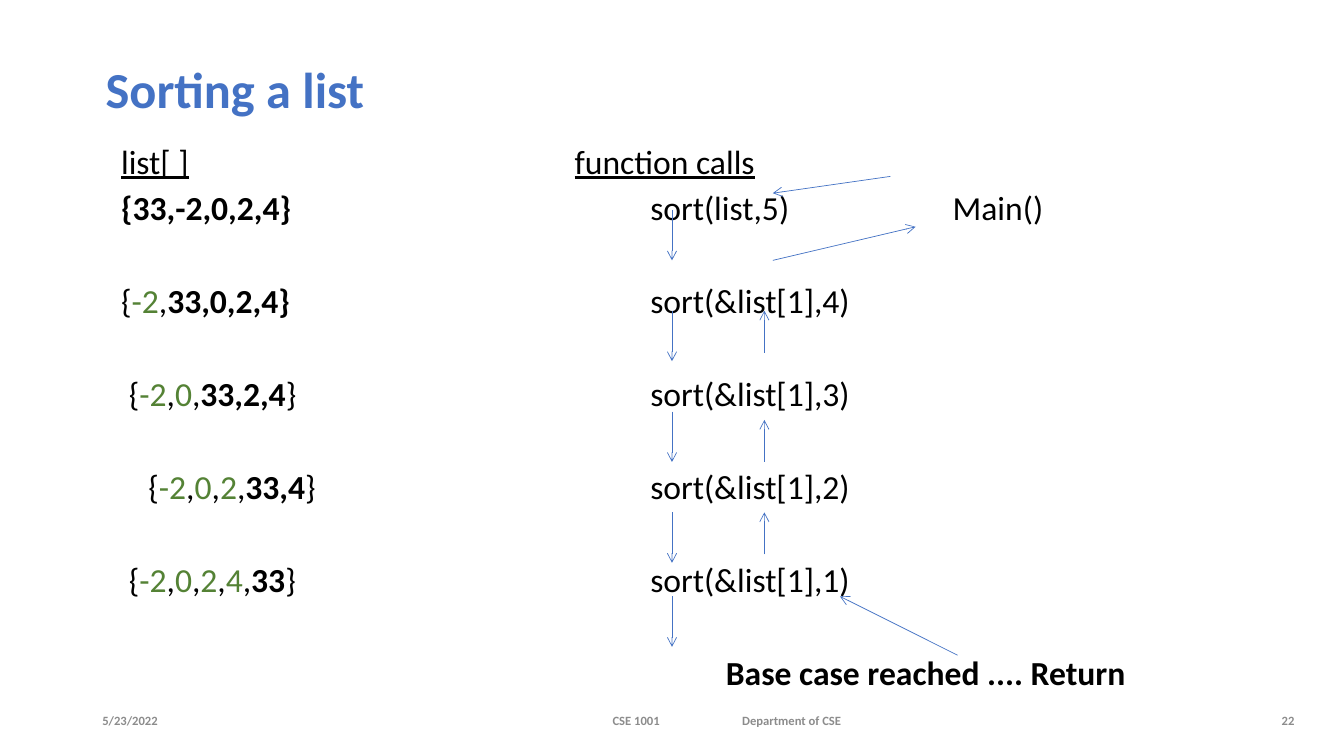
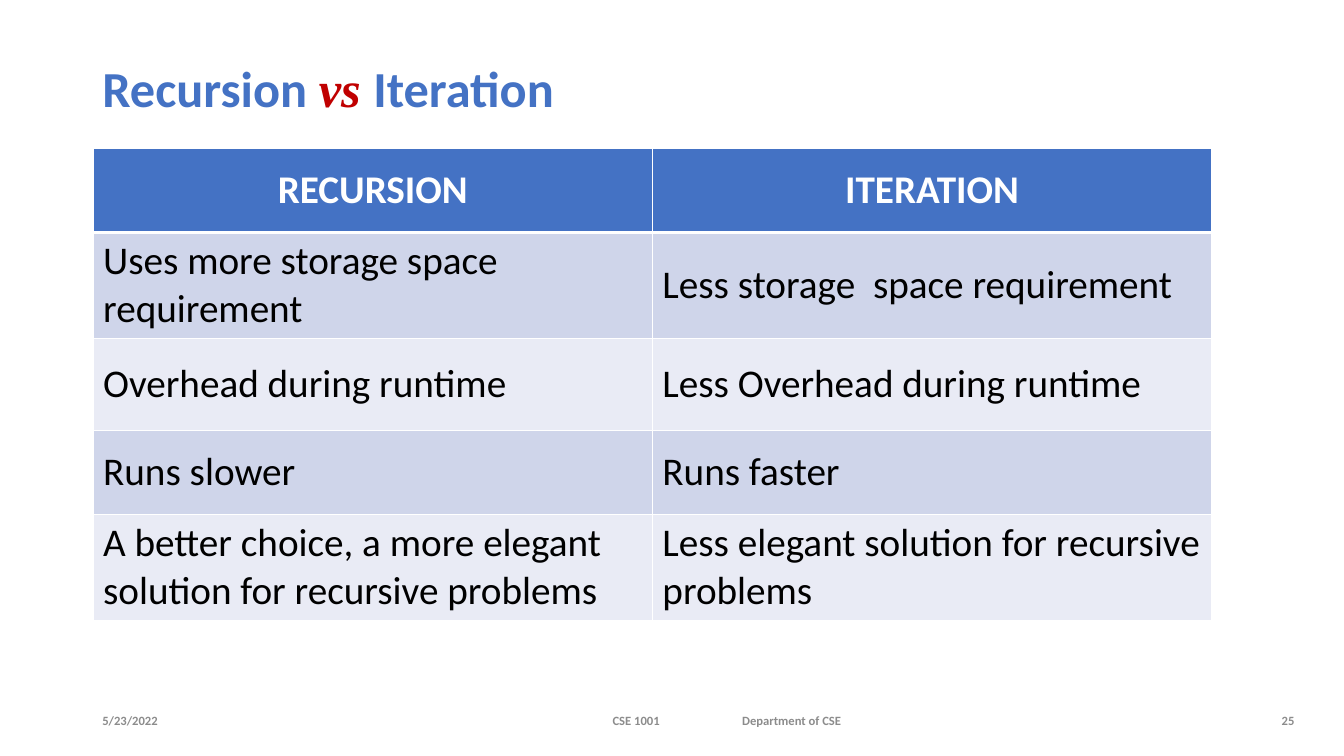
from lxml import etree
from pptx import Presentation
from pptx.dml.color import RGBColor
from pptx.enum import shapes, text
from pptx.oxml import ns
from pptx.util import Pt

BLUE, GREEN, RED = "4472C4", "548235", "C00000"
BLACK, WHITE, GRAY = "000000", "FFFFFF", "8C8C8C"
BANDS = ("CFD5EA", "E9EBF5")
LEFT, CENTER, RIGHT = text.PP_ALIGN.LEFT, text.PP_ALIGN.CENTER, text.PP_ALIGN.RIGHT

TITLE = {"name": "Calibri", "size": Pt(36), "bold": True, "color": BLUE}
TITLE_ACCENT = {**TITLE, "name": "Times New Roman", "italic": True, "color": RED}
BODY = {"name": "Calibri", "size": Pt(24), "color": BLACK}
STRONG = {**BODY, "bold": True}
HEADING = {**BODY, "underline": True}
SORTED = {**BODY, "color": GREEN}
FOOTER = {"name": "Calibri", "size": Pt(9), "bold": True, "color": GRAY}
CELL = {"name": "Calibri", "size": Pt(28), "color": BLACK}
HEADER_CELL = {**CELL, "bold": True, "color": WHITE}

TAB = 54
CALLS_TAB, SORT_TAB, BASE_TAB, MAIN_TAB = 6 * TAB, 7 * TAB, 8 * TAB, 11 * TAB

STEPS = [
    (0, "-2", "33,0,2,4}", "", 4),
    (5.5, "-2,0", "33,2,4", "}", 3),
    (19.5, "-2,0,2", "33,4", "}", 2),
    (5.5, "-2,0,2,4", "33", "}", 1),
]
ARROWS = [
    *[(480, top, 480, top + 36) for top in (150, 222, 294, 366, 426)],
    *[(546, top + 30, 546, top) for top in (222, 300, 366)],
    (684, 468, 600, 426),
    (552, 186, 654, 162),
    (636, 126, 552, 138),
]
COMPARISON = [
    ("RECURSION", "ITERATION"),
    ("Uses more storage space requirement", "Less storage  space requirement"),
    ("Overhead during runtime", "Less Overhead during runtime"),
    ("Runs slower", "Runs faster"),
    ("A better choice, a more elegant solution for recursive problems",
     "Less elegant solution for recursive problems"),
]
ROW_HEIGHTS = (60, 75.6, 66, 60, 75.6)


def color(value):
    """Turn a hex string into a colour."""
    return RGBColor.from_string(value)


def write_runs(paragraph, runs):
    """Append formatted runs to a paragraph."""
    for words, style in runs:
        run = paragraph.add_run()
        run.text = words
        for key, value in style.items():
            if key == "color":
                run.font.color.rgb = color(value)
            else:
                setattr(run.font, key, value)


def add_tabs(paragraph, stops):
    """Give a paragraph left tab stops."""
    tabs = etree.SubElement(paragraph._p.get_or_add_pPr(), ns.qn("a:tabLst"))
    for stop in stops:
        etree.SubElement(tabs, ns.qn("a:tab"), pos=str(Pt(stop)), algn="l")


def add_text(slide, box, runs, align=LEFT, line_spacing=None, tabs=()):
    """Add a middle-anchored text box of one paragraph."""
    frame = slide.shapes.add_textbox(*map(Pt, box)).text_frame
    frame.word_wrap = True
    frame.vertical_anchor = text.MSO_ANCHOR.MIDDLE
    paragraph = frame.paragraphs[0]
    paragraph.alignment = align
    paragraph.line_spacing = line_spacing
    if tabs:
        add_tabs(paragraph, tabs)
    write_runs(paragraph, runs)


def add_slide(presentation, title_box, title_runs, number):
    """Add a blank slide with its title and footer."""
    slide = presentation.slides.add_slide(presentation.slide_layouts[6])
    add_text(slide, title_box, title_runs, line_spacing=0.9)
    add_text(slide, (66, 500.4, 91, 28.8), [("5/23/2022", FOOTER)])
    add_text(slide, (430.5, 500.4, 360, 28.8),
             [("CSE 1001\tDepartment of CSE", FOOTER)], tabs=(92.5,))
    add_text(slide, (894, 500.4, 37.7, 28.8), [(number, FOOTER)], RIGHT)
    return slide


def add_arrow(slide, ends):
    """Draw a thin line with an open arrowhead at its end."""
    arrow = slide.shapes.add_connector(shapes.MSO_CONNECTOR.STRAIGHT, *map(Pt, ends))
    arrow.line.color.rgb = color(BLUE)
    arrow.line.width = Pt(0.5)
    etree.SubElement(arrow.line._get_or_add_ln(), ns.qn("a:tailEnd"), type="arrow")
    etree.SubElement(arrow._element.spPr, ns.qn("a:effectLst"))


def step_line(indent, done, rest, end, count):
    """Return tab stops, space before and runs of one sorting step."""
    runs = [("\t{" if indent else "{", BODY)]
    for value in done.split(","):
        runs += [(value, SORTED), (",", BODY)]
    runs += [(rest, STRONG), (f"{end}\tsort(&list[1],{count})", BODY)]
    stops = (indent, SORT_TAB) if indent else (SORT_TAB,)
    return stops, 40.5, runs


def add_trace(slide):
    """Write the list states beside their function calls."""
    lines = [
        ((CALLS_TAB,), 0,
         [("list[ ]", HEADING), ("\t", BODY), ("function calls", HEADING)]),
        ((SORT_TAB, MAIN_TAB), 7,
         [("{33,-2,0,2,4}", STRONG), ("\tsort(list,5)\tMain()", BODY)]),
        *[step_line(*step) for step in STEPS],
        ((BASE_TAB,), 40.5, [("\tBase case reached .... Return", STRONG)]),
    ]
    frame = slide.shapes.add_textbox(Pt(86.5), Pt(100), Pt(845), Pt(414)).text_frame
    frame.word_wrap = True
    frame.margin_left = 0
    for index, (stops, space, runs) in enumerate(lines):
        paragraph = frame.add_paragraph() if index else frame.paragraphs[0]
        paragraph.line_spacing = 0.9
        paragraph.space_before = Pt(space)
        add_tabs(paragraph, stops)
        write_runs(paragraph, runs)


def add_borders(cell, widths):
    """Give a cell white borders of the given widths."""
    properties = cell._tc.get_or_add_tcPr()
    for index, (side, width) in enumerate(zip("LRTB", widths)):
        line = etree.Element(ns.qn(f"a:ln{side}"), w=str(Pt(width)))
        fill = etree.SubElement(line, ns.qn("a:solidFill"))
        etree.SubElement(fill, ns.qn("a:srgbClr"), val=WHITE)
        properties.insert(index, line)


def add_comparison(slide):
    """Add the two-column comparison table."""
    table = slide.shapes.add_table(len(COMPARISON), 2, Pt(66.5), Pt(106), Pt(799),
                                   Pt(sum(ROW_HEIGHTS))).table
    for row_index, words in enumerate(COMPARISON):
        table.rows[row_index].height = Pt(ROW_HEIGHTS[row_index])
        header = row_index == 0
        for column_index, phrase in enumerate(words):
            cell = table.cell(row_index, column_index)
            cell.vertical_anchor = text.MSO_ANCHOR.MIDDLE
            add_borders(cell, (1, 1, 3 if row_index == 1 else 1, 3 if header else 1))
            cell.fill.solid()
            cell.fill.fore_color.rgb = color(BLUE if header else BANDS[(row_index - 1) % 2])
            paragraph = cell.text_frame.paragraphs[0]
            paragraph.alignment = CENTER if header else LEFT
            write_runs(paragraph, [(phrase, HEADER_CELL if header else CELL)])


def main():
    """Build and save the presentation."""
    presentation = Presentation()
    presentation.slide_width, presentation.slide_height = Pt(960), Pt(540)

    sorting = add_slide(presentation, (68.4, 39, 649.5, 54), [("Sorting a list", TITLE)], "22")
    add_trace(sorting)
    for ends in ARROWS:
        add_arrow(sorting, ends)

    versus = [("Recursion ", TITLE), ("vs ", TITLE_ACCENT), ("Iteration", TITLE)]
    add_comparison(add_slide(presentation, (66, 40.5, 865.5, 49.5), versus, "25"))

    presentation.save("out.pptx")


if __name__ == "__main__":
    main()
